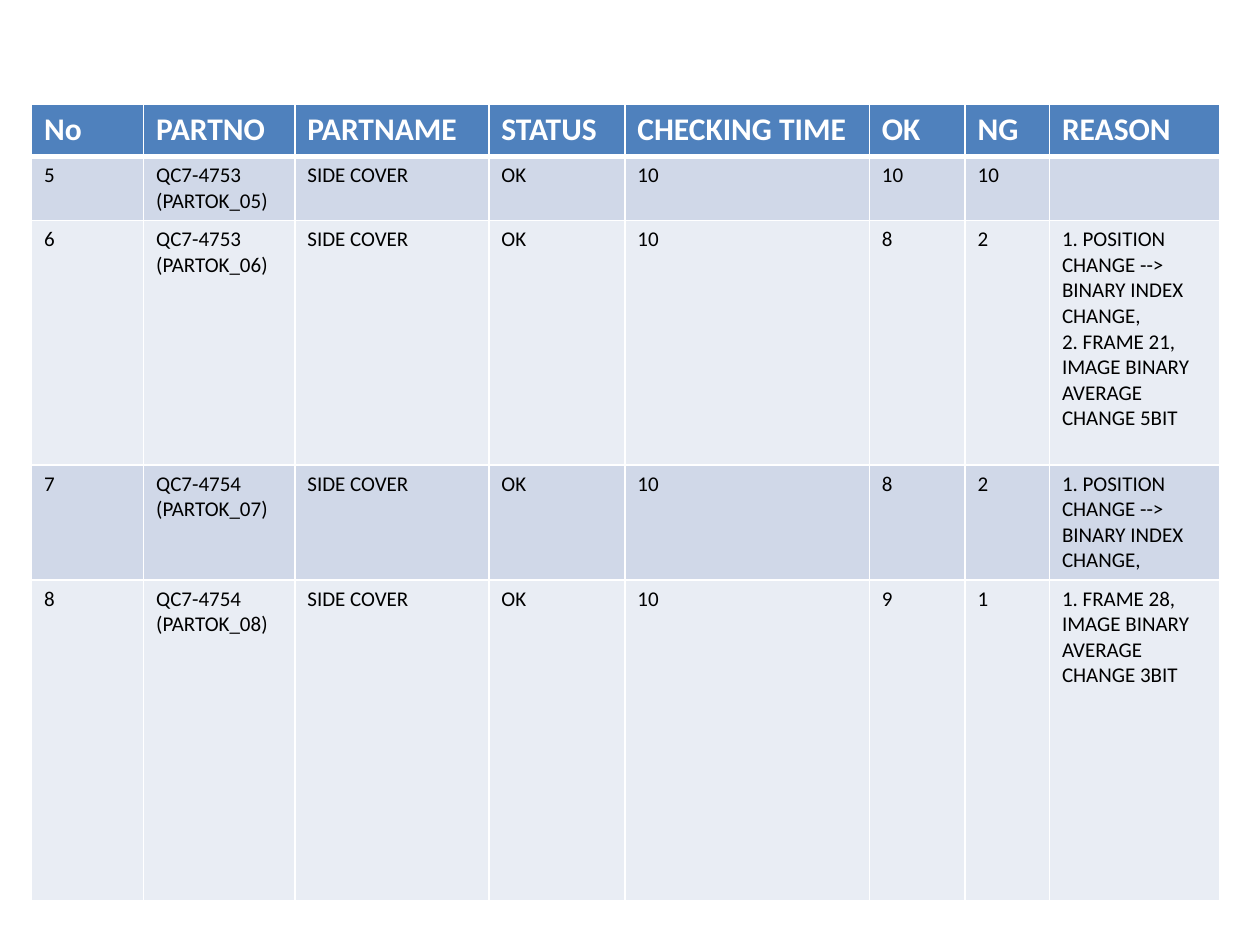
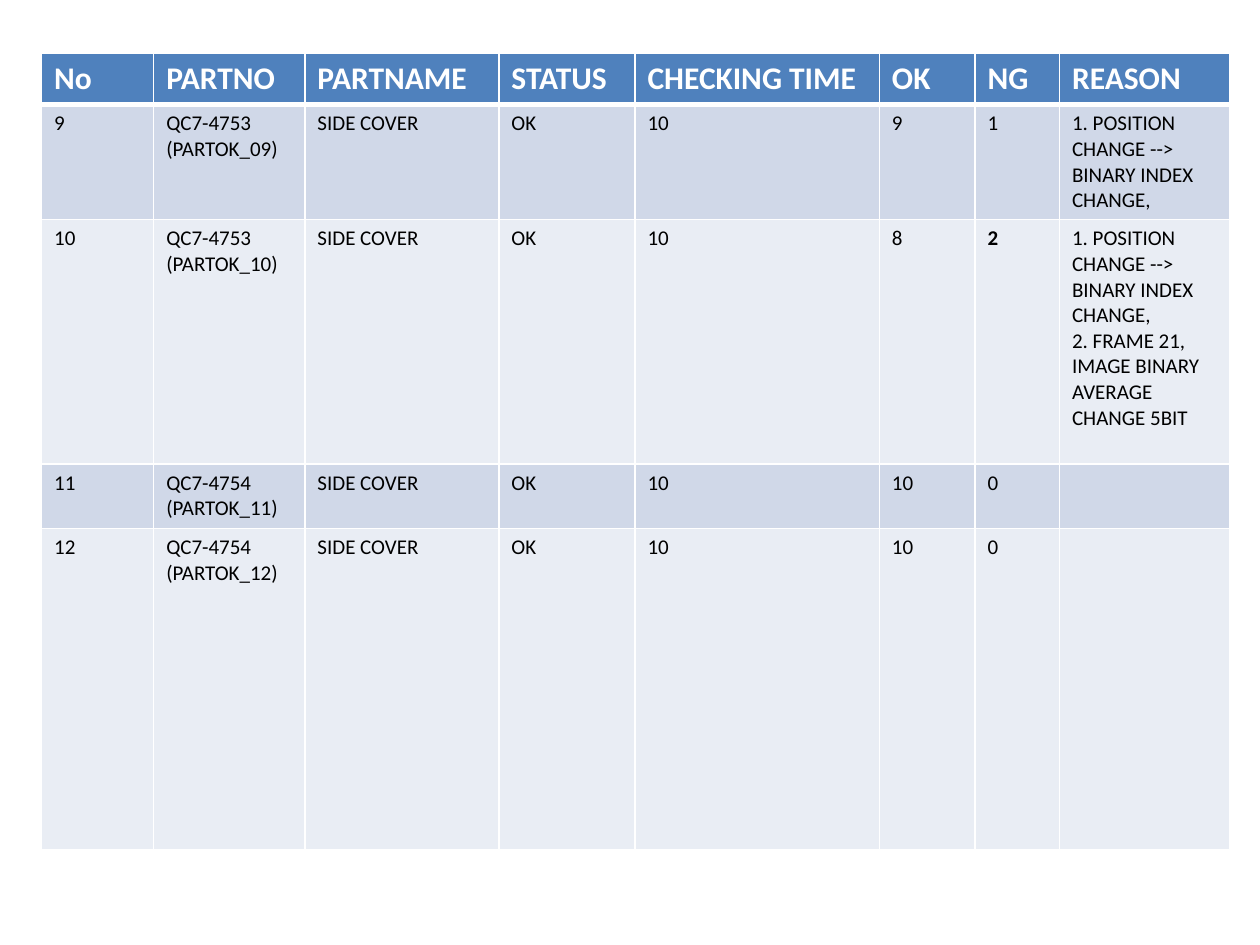
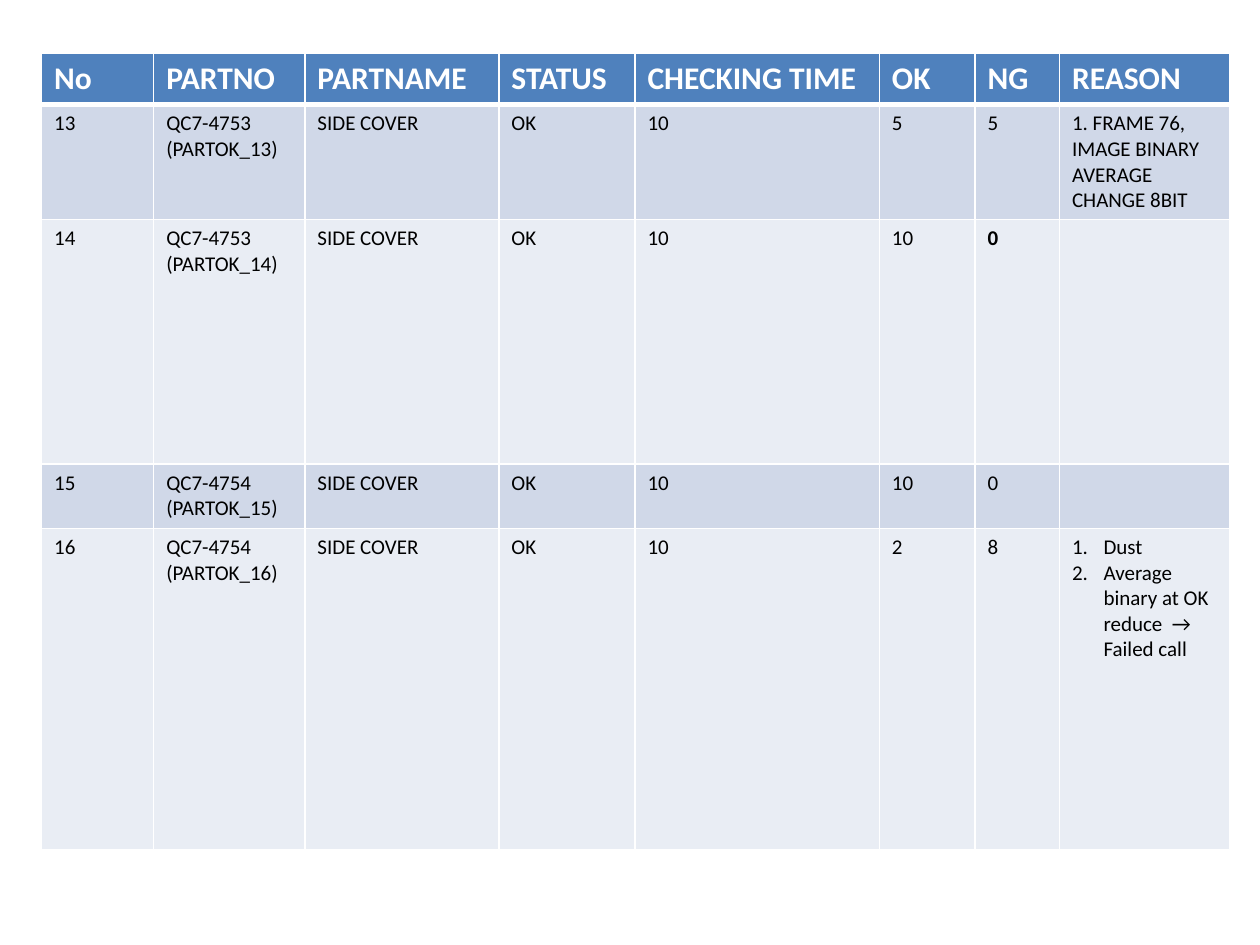
from dataclasses import dataclass

from lxml.etree import SubElement
from pptx import Presentation
from pptx.dml.color import RGBColor
from pptx.oxml.ns import qn
from pptx.util import Inches, Pt

# Shared look
FONT = "Calibri"
WHITE, BLACK = "FFFFFF", "000000"
HEADER_FILL = "4F81BD"
BAND_FILLS = ("D0D8E8", "E9EDF4")
HEADINGS = ("No", "PARTNO", "PARTNAME", "STATUS", "CHECKING TIME", "OK", "NG", "REASON")
COLUMN_WIDTHS = (0.89, 1.2, 1.54, 1.08, 1.94, 0.76, 0.67, 1.35)
ROW_HEIGHTS = (0.41, 0.51, 1.94, 0.51, 2.55)
TABLE_WIDTH, TABLE_HEIGHT = 9.42, 6.31
NG_COLUMN, REASON_COLUMN = HEADINGS.index("NG"), HEADINGS.index("REASON")

# Wording that recurs in the results
COVER_A, COVER_B = "QC7-4753", "QC7-4754"
POSITION_CHANGE = "1. POSITION CHANGE --> BINARY INDEX CHANGE,"


def average_change(item: int, frame: int, bits: int) -> str:
    return f"{item}. FRAME {frame}, IMAGE BINARY AVERAGE CHANGE {bits}BIT"


@dataclass(frozen=True)
class Check:
    number: int
    cover: str
    ok: int
    ng: int
    reasons: tuple[str, ...] = ()
    bold_ng: bool = False
    numbered: bool = False

    def texts(self) -> tuple[str, ...]:
        return (str(self.number), f"{self.cover}\n(PARTOK_{self.number:02d})", "SIDE COVER",
                "OK", "10", str(self.ok), str(self.ng), "\n".join(self.reasons))


@dataclass(frozen=True)
class Page:
    left: float
    top: float
    checks: tuple[Check, ...]


PAGES = (
    Page(0.25, 0.83, (
        Check(5, COVER_A, 10, 10),
        Check(6, COVER_A, 8, 2, (POSITION_CHANGE, average_change(2, 21, 5))),
        Check(7, COVER_B, 8, 2, (POSITION_CHANGE,)),
        Check(8, COVER_B, 9, 1, (average_change(1, 28, 3),)),
    )),
    Page(0.33, 0.42, (
        Check(9, COVER_A, 9, 1, (POSITION_CHANGE,)),
        Check(10, COVER_A, 8, 2, (POSITION_CHANGE, average_change(2, 21, 5)), bold_ng=True),
        Check(11, COVER_B, 10, 0),
        Check(12, COVER_B, 10, 0),
    )),
    Page(0.33, 0.42, (
        Check(13, COVER_A, 5, 5, (average_change(1, 76, 8),)),
        Check(14, COVER_A, 10, 0, bold_ng=True),
        Check(15, COVER_B, 10, 0),
        Check(16, COVER_B, 2, 8, ("Dust", "Average binary at OK reduce  → Failed call"),
              numbered=True),
    )),
)


def color(value: str) -> RGBColor:
    return RGBColor.from_string(value)


def set_borders(cell, top: float = 1, bottom: float = 1) -> None:
    properties = cell._tc.get_or_add_tcPr()
    for side, width in (("L", 1), ("R", 1), ("T", top), ("B", bottom)):
        line = SubElement(properties, qn(f"a:ln{side}"), w=str(Pt(width)))
        SubElement(SubElement(line, qn("a:solidFill")), qn("a:srgbClr"), val=WHITE)


def fill_cell(cell, text: str, fill: str, size: int, ink: str, bold: bool = False) -> None:
    cell.fill.solid()
    cell.fill.fore_color.rgb = color(fill)
    cell.text_frame.text = text
    for paragraph in cell.text_frame.paragraphs:
        for run in paragraph.runs:
            font = run.font
            font.name, font.size, font.bold = FONT, Pt(size), bold
            font.color.rgb = color(ink)


def number_paragraphs(cell) -> None:
    for paragraph in cell.text_frame.paragraphs:
        properties = paragraph._p.get_or_add_pPr()
        properties.set("marL", str(Inches(0.25)))
        properties.set("indent", str(Inches(-0.25)))
        SubElement(properties, qn("a:buAutoNum"), type="arabicPeriod")


def add_check_table(slide, page: Page) -> None:
    frame = slide.shapes.add_table(
        len(ROW_HEIGHTS), len(HEADINGS), Inches(page.left), Inches(page.top),
        Inches(TABLE_WIDTH), Inches(TABLE_HEIGHT))
    table = frame.table
    for column, width in zip(table.columns, COLUMN_WIDTHS):
        column.width = Inches(width)
    for row, height in zip(table.rows, ROW_HEIGHTS):
        row.height = Inches(height)
    frame.height = Inches(TABLE_HEIGHT)

    # Header row
    for cell, heading in zip(table.rows[0].cells, HEADINGS):
        set_borders(cell, bottom=3)
        fill_cell(cell, heading, HEADER_FILL, 18, WHITE, bold=True)

    # Banded result rows
    for index, check in enumerate(page.checks):
        cells = list(table.rows[index + 1].cells)
        for column, (cell, text) in enumerate(zip(cells, check.texts())):
            set_borders(cell, top=3 if index == 0 else 1)
            fill_cell(cell, text, BAND_FILLS[index % 2], 12, BLACK,
                      bold=check.bold_ng and column == NG_COLUMN)
        if check.numbered:
            number_paragraphs(cells[REASON_COLUMN])


def main() -> None:
    deck = Presentation()
    deck.slide_width, deck.slide_height = Inches(10), Inches(7.5)
    for page in PAGES:
        add_check_table(deck.slides.add_slide(deck.slide_layouts[6]), page)
    deck.save("out.pptx")


if __name__ == "__main__":
    main()
